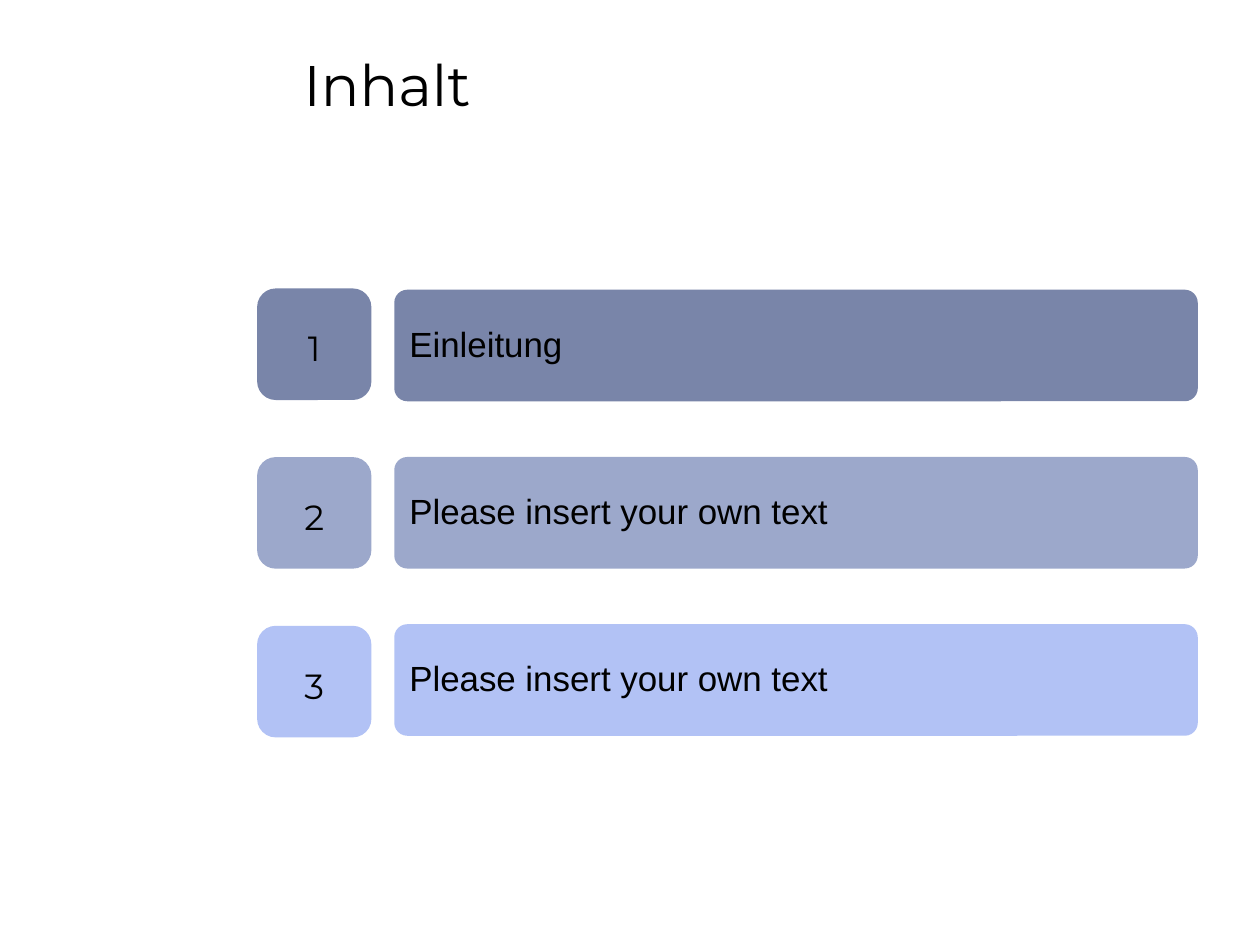
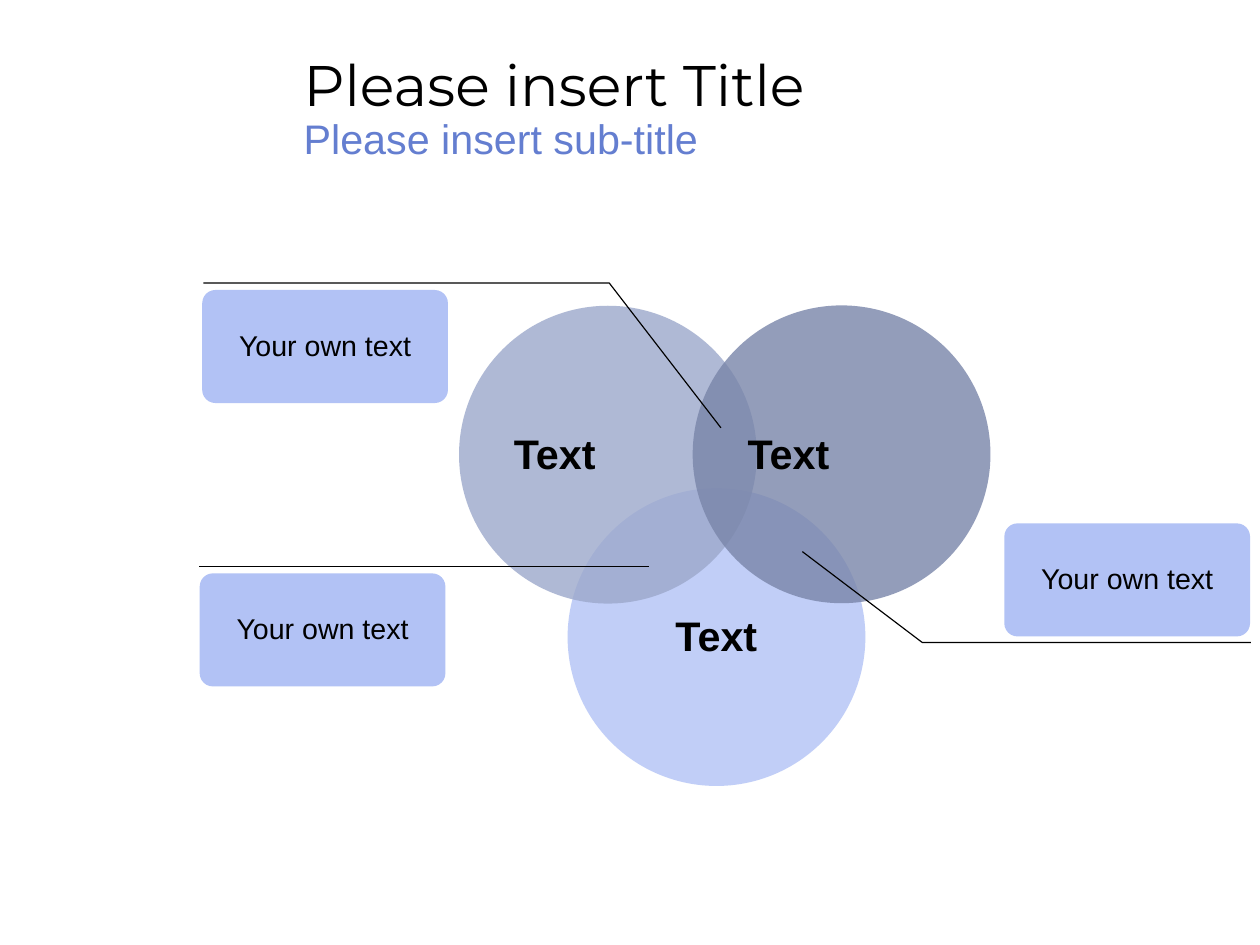
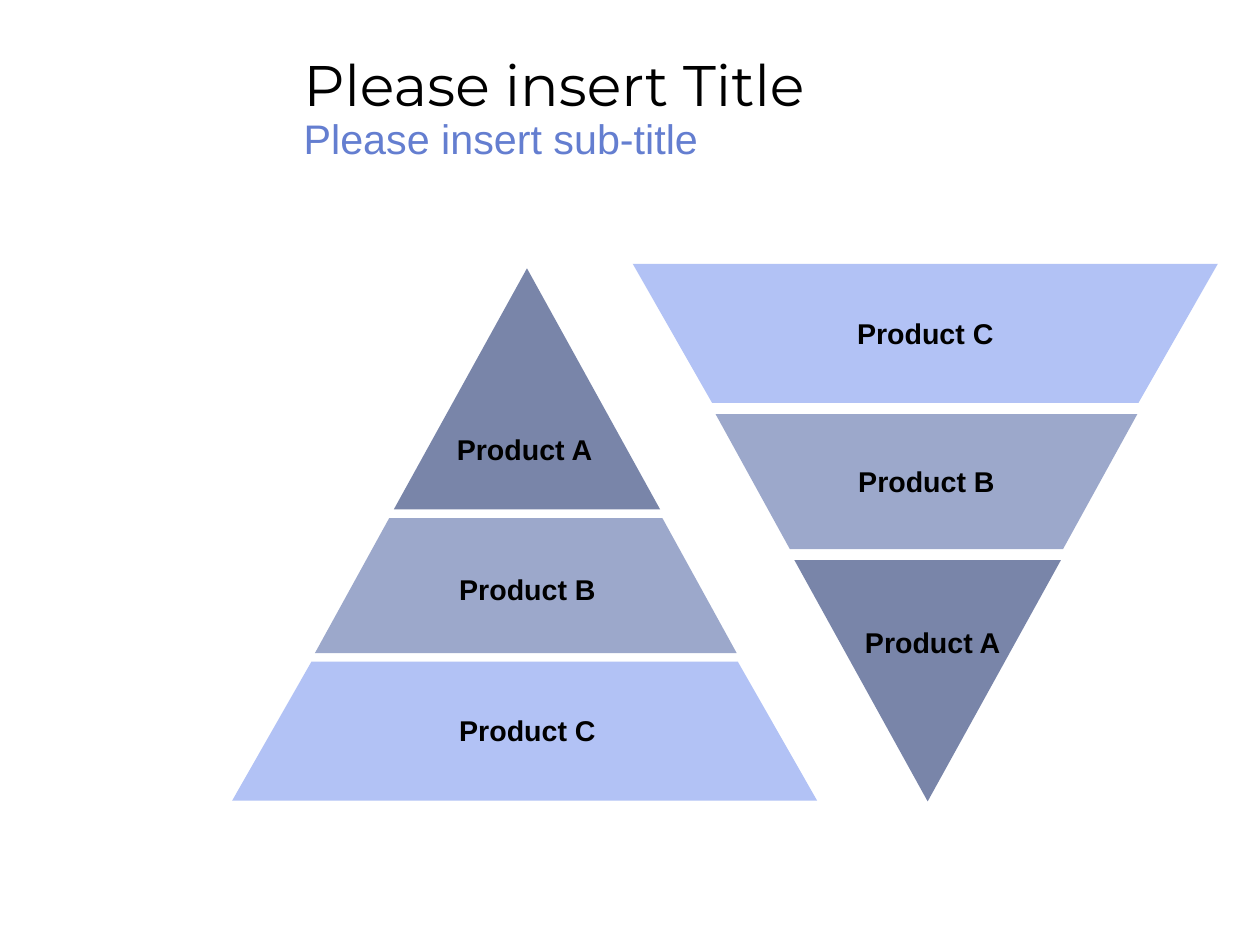
import dataclasses

import lxml.etree
import pptx
import pptx.dml.color
import pptx.enum.shapes
import pptx.enum.text
import pptx.oxml.ns
import pptx.util

Pt = pptx.util.Pt
RGB = pptx.dml.color.RGBColor.from_string
qn = pptx.oxml.ns.qn
SHAPE = pptx.enum.shapes.MSO_SHAPE
ALIGN = pptx.enum.text.PP_ALIGN
ANCHOR = pptx.enum.text.MSO_ANCHOR


@dataclasses.dataclass(frozen=True)
class Theme:
    ink: str = "000000"
    accent: str = "647ED0"
    dark: str = "7985A9"
    mid: str = "9CA8CB"
    light: str = "B2C2F5"
    head_font: str = "Montserrat"
    body_font: str = "Arial"
    title: float = 36
    subtitle: float = 26
    item: float = 22
    label: float = 18
    line: float = 0.75
    head_spacing: float = 1.18
    body_spacing: float = 0.93
    bar_round: float = 0.117
    badge_round: float = 0.167


T = Theme()


# Shared helpers
def style(p, size, font=T.body_font, color=T.ink, bold=False, align=ALIGN.LEFT):
    p.alignment = align
    p.line_spacing = T.head_spacing if font == T.head_font else T.body_spacing
    for r in p.runs:
        r.font.size = Pt(size)
        r.font.name = font
        r.font.bold = bold
        r.font.color.rgb = RGB(color)


def write(sp, text, size, wrap=True, anchor=ANCHOR.MIDDLE, top=3.6, **look):
    tf = sp.text_frame
    tf.word_wrap = wrap
    tf.vertical_anchor = anchor
    tf.margin_top = Pt(top)
    tf.text = text
    style(tf.paragraphs[0], size, **look)


def paint(sp, color, opacity=100):
    sp.shadow.inherit = False
    sp.line.fill.background()
    sp.fill.solid()
    sp.fill.fore_color.rgb = RGB(color)
    if opacity < 100:
        clr = sp._element.spPr.find(qn("a:solidFill")).find(qn("a:srgbClr"))
        lxml.etree.SubElement(clr, qn("a:alpha")).set("val", str(opacity * 1000))


def add_shape(slide, kind, box, color, opacity=100, rounding=None):
    sp = slide.shapes.add_shape(kind, *map(Pt, box))
    if rounding:
        sp.adjustments[0] = rounding
    paint(sp, color, opacity)
    return sp


def add_outline(slide, points, close):
    pts = [(Pt(x), Pt(y)) for x, y in points]
    builder = slide.shapes.build_freeform(*pts[0])
    builder.add_line_segments(pts[1:], close=close)
    return builder.convert_to_shape()


def add_leader(slide, points):
    sp = add_outline(slide, points, close=False)
    sp.shadow.inherit = False
    sp.fill.background()
    sp.line.color.rgb = RGB(T.ink)
    sp.line.width = Pt(T.line)


def add_heading(slide, title, subtitle=None, box=(184.2, 19.8, 569.5, 87.1)):
    tf = slide.shapes.add_textbox(*map(Pt, box)).text_frame
    tf.word_wrap = True
    tf.text = title
    style(tf.paragraphs[0], T.title, font=T.head_font)
    if subtitle:
        p = tf.add_paragraph()
        p.text = subtitle
        style(p, T.subtitle, color=T.accent)


# Agenda: numbered badges beside text bars
def agenda(slide, box, items):
    x, y, w, h = box
    badge_w, gap, row_h = 72, 14.4, 70.3
    bar_x = x + badge_w + gap
    bar_pitch = (h - row_h) / (len(items) - 1)
    badge_pitch = bar_pitch + 0.9
    for i, (text, color) in enumerate(items):
        bar = (bar_x, y + i * bar_pitch, x + w - bar_x, row_h)
        sp = add_shape(slide, SHAPE.ROUNDED_RECTANGLE, bar, color, rounding=T.bar_round)
        write(sp, text, T.item)
    for i, (text, color) in enumerate(items):
        badge = (x, y - 0.8 + i * badge_pitch, badge_w, row_h)
        sp = add_shape(slide, SHAPE.ROUNDED_RECTANGLE, badge, color, rounding=T.badge_round)
        write(sp, str(i + 1), T.item, wrap=False, font=T.head_font, align=ALIGN.CENTER)


# Venn diagram: three circles, with callouts on their overlaps
def venn(slide, box):
    x, y, w, h = box
    right, size = x + w, 187.6

    def circle(left, top, color, align=ALIGN.LEFT):
        sp = add_shape(slide, SHAPE.OVAL, (left, top, size, size), color, opacity=80)
        write(sp, "Text", T.subtitle, top=5, bold=True, align=align)

    def callout(left, top):
        sp = add_shape(slide, SHAPE.ROUNDED_RECTANGLE, (left, top, 154.8, 71.2),
                       T.light, rounding=T.bar_round)
        write(sp, "Your own text", T.label, align=ALIGN.CENTER)

    circle(x + 232.4, y + h - size, T.light, ALIGN.CENTER)
    callout(right - 155.3, y + 151.4)
    callout(x + 2.2, y + 4.4)
    callout(x + 0.6, y + 182.9)
    circle(x + 164, y + 14.3, T.mid)

    level = y + 178.8
    line = slide.shapes.add_connector(pptx.enum.shapes.MSO_CONNECTOR.STRAIGHT,
                                      Pt(x + 283.5), Pt(level), Pt(x), Pt(level))
    line.line.color.rgb = RGB(T.ink)
    line.line.width = Pt(T.line)
    lxml.etree.SubElement(line._element.spPr, qn("a:effectLst"))

    circle(x + 311.2, y + 14.1, T.dark)
    add_leader(slide, [(right - 282.5, y + 169.2), (right - 207, y + 226.4),
                       (right, y + 226.4)])
    add_leader(slide, [(x + 329, y + 91.2), (x + 258.7, y), (x + 2.9, y)])


# Pyramid: (name, colour, narrow width, wide width, height, axis shift)
LAYERS = [
    ("Product A", T.dark, 0, 167.8, 151.9, 1.5),
    ("Product B", T.mid, 172.1, 265.7, 85, 0.75),
    ("Product C", T.light, 268.6, 368.6, 87.6, 0),
]


def pyramid(slide, box, inverted, labels):
    """labels: name -> (shift from the axis, share of the layer height);
    a layer without an entry holds its own text."""
    x, y, w, h = box
    gap = (h - sum(layer[4] for layer in LAYERS)) / (len(LAYERS) - 1)
    centres = {}
    for name, color, narrow, wide, height, shift in LAYERS[::-1 if inverted else 1]:
        axis = x + w / 2 + shift
        if narrow:
            top_w, low_w = (wide, narrow) if inverted else (narrow, wide)
            sp = add_outline(slide, [
                (axis - top_w / 2, y), (axis - low_w / 2, y + height),
                (axis + low_w / 2, y + height), (axis + top_w / 2, y)], close=True)
            paint(sp, color)
        else:
            sp = add_shape(slide, SHAPE.ISOSCELES_TRIANGLE,
                           (axis - wide / 2, y, wide, height), color)
            if inverted:
                sp._element.spPr.find(qn("a:xfrm")).set("flipV", "1")
        if name in labels:
            dx, share = labels[name]
            centres[name] = (x + w / 2 + dx, y + share * height)
        else:
            write(sp, name, T.label, wrap=False, top=5, bold=True, align=ALIGN.CENTER)
        y += height + gap
    for name, (cx, cy) in centres.items():
        label_w, label_h = 116, 28
        sp = slide.shapes.add_textbox(Pt(cx - label_w / 2), Pt(cy - label_h / 2),
                                      Pt(label_w), Pt(label_h))
        write(sp, name, T.label, anchor=ANCHOR.TOP, top=5, bold=True, align=ALIGN.CENTER)


# Deck
prs = pptx.Presentation()
prs.slide_width, prs.slide_height = Pt(793.75), Pt(595.25)
blank = prs.slide_layouts[6]

s = prs.slides.add_slide(blank)
agenda(s, (162, 182.5, 592.6, 281), [
    ("Einleitung", T.dark),
    ("Please insert your own text", T.mid),
    ("Please insert your own text", T.light),
])
add_heading(s, "Inhalt")

s = prs.slides.add_slide(blank)
venn(s, (125.2, 178.3, 662.8, 316.8))
add_heading(s, "Please insert Title", "Please insert sub-title")

s = prs.slides.add_slide(blank)
pyramid(s, (398.6, 166.2, 368.6, 338.6), True, {"Product A": (4.7, 0.34)})
pyramid(s, (146.2, 169, 368.6, 335.4), False, {
    "Product A": (0, 0.75), "Product B": (1.8, 0.53), "Product C": (1.8, 0.49)})
add_heading(s, "Please insert Title", "Please insert sub-title")

prs.save("out.pptx")
